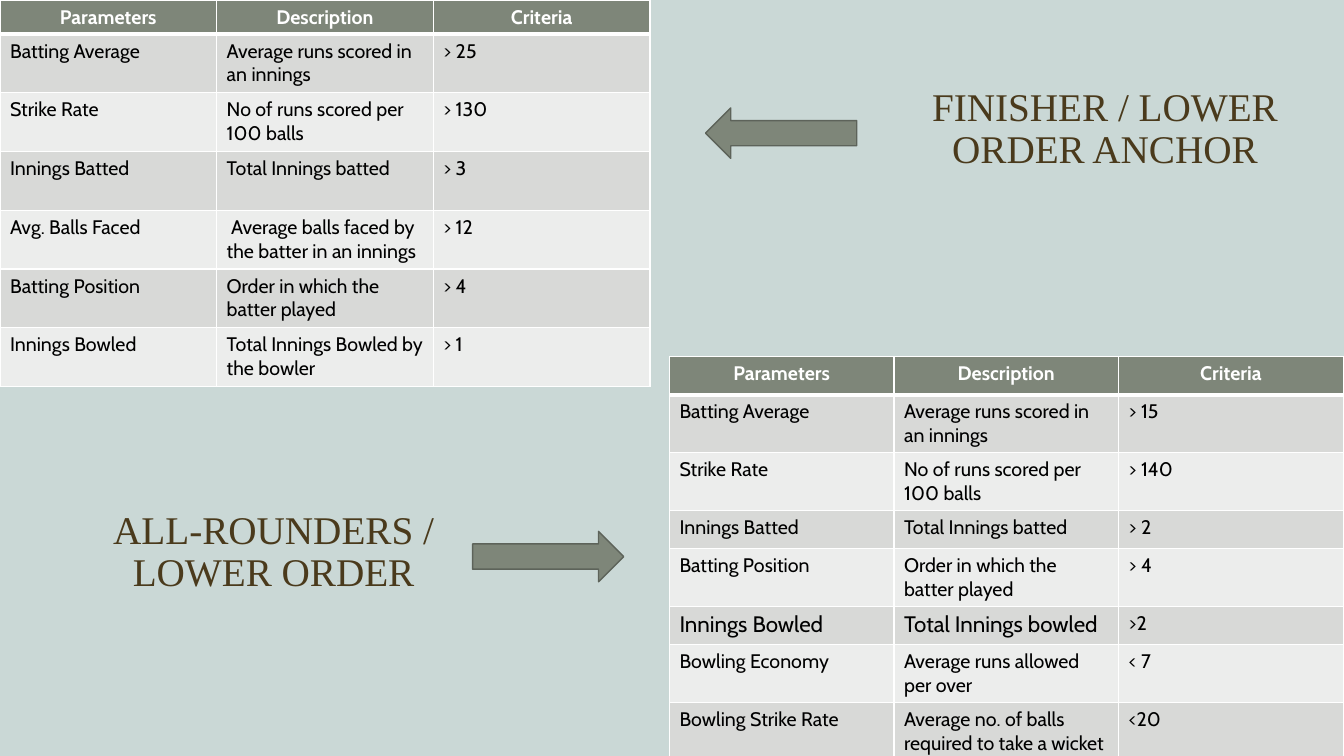
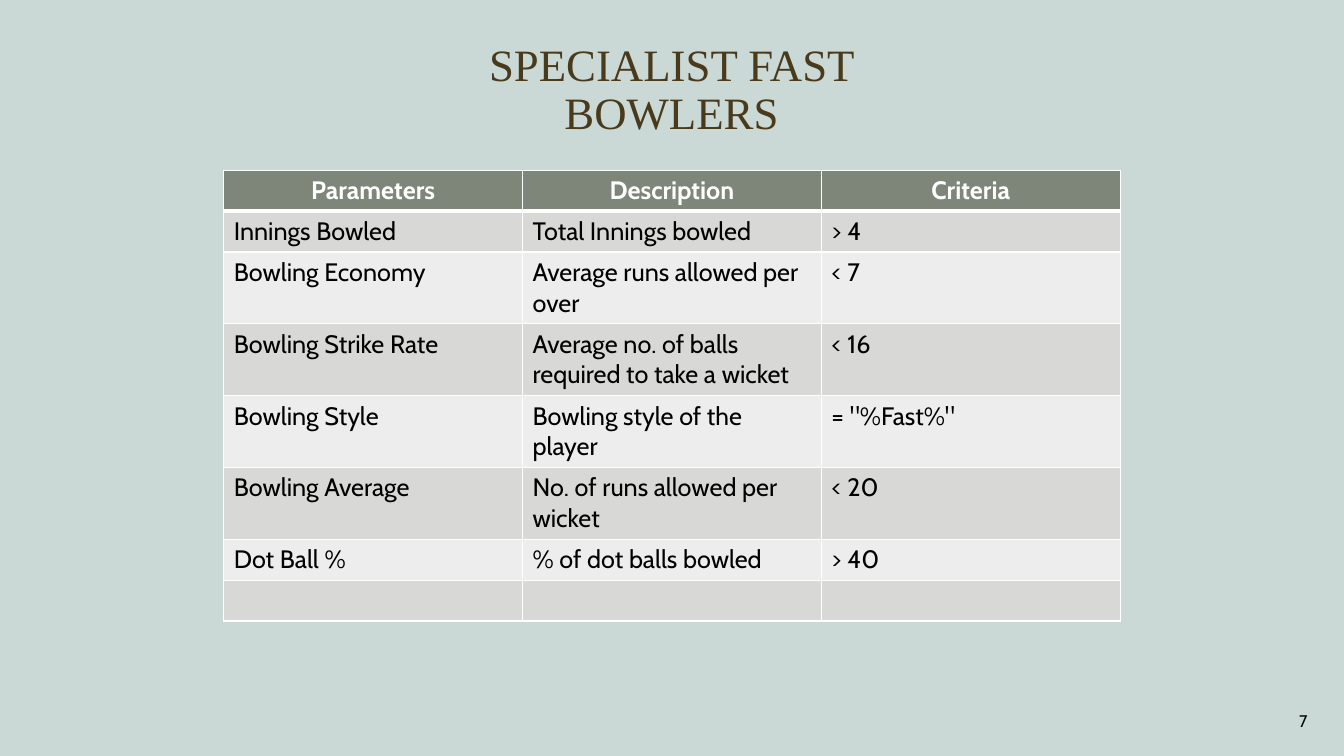
"""Build two slides of cricket player selection criteria."""
from lxml.etree import SubElement
from pptx import Presentation
from pptx.dml.color import RGBColor
from pptx.enum.shapes import MSO_SHAPE
from pptx.enum.text import MSO_ANCHOR, MSO_AUTO_SIZE, PP_ALIGN
from pptx.oxml.ns import qn
from pptx.util import Cm, Pt


class Theme:
    back = RGBColor.from_string("CAD8D6")
    sage = RGBColor.from_string("7E8679")
    edge = RGBColor.from_string("5D635A")
    brown = RGBColor.from_string("4A3A1C")
    white = RGBColor.from_string("FFFFFF")
    black = RGBColor.from_string("000000")
    bands = (RGBColor.from_string("ECEDEC"), RGBColor.from_string("D8D9D7"))
    head = "Times New Roman"
    body = "Cabin"
    small, cell, large, wide = 12, 14, 16, 18
    title, big = 28, 32
    thin, thick = 1, 3


def put(box, text, size=Theme.cell, face=Theme.body, color=Theme.black,
        bold=False, align=PP_ALIGN.LEFT, gap=None, anchor=MSO_ANCHOR.TOP):
    frame = box.text_frame
    frame.word_wrap = True
    frame.vertical_anchor = anchor
    para = frame.paragraphs[0]
    para.alignment = align
    para.line_spacing = gap
    run = para.add_run()
    run.text = text
    font = run.font
    font.size, font.name, font.bold = Pt(size), face, bold
    font.color.rgb = color


def grid(slide, left, top, width, highs, rows, size, large=()):
    rows = [("Parameters", "Description", "Criteria"), *rows]
    table = slide.shapes.add_table(len(rows), 3, Cm(left), Cm(top),
                                   Cm(3 * width), Cm(sum(highs))).table
    table.horz_banding = False
    for col in table.columns:
        col.width = Cm(width)
    for y, (row, high) in enumerate(zip(rows, highs)):
        table.rows[y].height = Cm(high)
        for x, text in enumerate(row):
            cell = table.cell(y, x)
            props = cell._tc.get_or_add_tcPr()
            for side in "LRTB":
                heavy = (y, side) in ((0, "B"), (1, "T"))
                line = SubElement(props, qn(f"a:ln{side}"))
                line.set("w", str(Pt(Theme.thick if heavy else Theme.thin)))
                fill = SubElement(line, qn("a:solidFill"))
                SubElement(fill, qn("a:srgbClr")).set("val", str(Theme.white))
            cell.fill.solid()
            cell.fill.fore_color.rgb = Theme.bands[y % 2] if y else Theme.sage
            if y == 0:
                put(cell, text, size=size, color=Theme.white, bold=True,
                    align=PP_ALIGN.CENTER)
            elif text:
                put(cell, text, size=Theme.large if (y, x) in large else size)


deck = Presentation()
deck.slide_width, deck.slide_height = Cm(33.87), Cm(19.05)
fill = deck.slide_master.background.fill
fill.solid()
fill.fore_color.rgb = Theme.back
plain = deck.slide_layouts.get_by_name("Title Only")
order, fast = [deck.slides.add_slide(plain) for _ in range(2)]

grid(order, 0, 0, 5.46, [0.86] + [1.48] * 6, [
    ("Batting Average", "Average runs scored in an innings", "> 25"),
    ("Strike Rate", "No of runs scored per 100 balls", "> 130"),
    ("Innings Batted", "Total Innings batted", "> 3"),
    ("Avg. Balls Faced", " Average balls faced by the batter in an innings", "> 12"),
    ("Batting Position", "Order in which the batter played", "> 4"),
    ("Innings Bowled", "Total Innings Bowled by the bowler", "> 1"),
], Theme.cell)

low, tall = 0.96, 1.45
grid(order, 16.87, 8.99, 5.66, [low, tall, tall, low, tall, low, tall, tall], [
    ("Batting Average", "Average runs scored in an innings", "> 15"),
    ("Strike Rate", "No of runs scored per 100 balls", "> 140"),
    ("Innings Batted", "Total Innings batted", "> 2"),
    ("Batting Position", "Order in which the batter played", "> 4"),
    ("Innings Bowled", "Total Innings bowled", ">2"),
    ("Bowling Economy", "Average runs allowed per over", "< 7"),
    ("Bowling Strike Rate", "Average no. of balls required to take a wicket", "<20"),
], Theme.cell, large=((5, 0), (5, 1)))

low, tall = 1.03, 1.81
grid(fast, 5.64, 4.29, 7.53, [low, low] + [tall] * 4 + [low, low], [
    ("Innings Bowled", "Total Innings bowled", "> 4"),
    ("Bowling Economy", "Average runs allowed per over", "< 7"),
    ("Bowling Strike Rate", "Average no. of balls required to take a wicket", "< 16"),
    ("Bowling Style", "Bowling style of the player", '= "%Fast%"'),
    ("Bowling Average", "No. of runs allowed per wicket", "< 20"),
    ("Dot Ball %", "% of dot balls bowled", "> 40"),
    ("", "", ""),
], Theme.wide)

extra = order.shapes.add_textbox(0, 0, 0, 0)
for box, text, left, top, size in (
    (order.shapes.title, "FINISHER / LOWER ORDER ANCHOR", 22.5, 2.08, Theme.title),
    (extra, "ALL-ROUNDERS / LOWER ORDER", 1.55, 12.73, Theme.title),
    (fast.shapes.title, "SPECIALIST FAST BOWLERS", 11.58, 0.94, Theme.big),
):
    box.left, box.top, box.width, box.height = Cm(left), Cm(top), Cm(10.69), Cm(2.57)
    box.text_frame.auto_size = MSO_AUTO_SIZE.NONE
    put(box, text, size=size, face=Theme.head, color=Theme.brown,
        align=PP_ALIGN.CENTER, gap=0.9)

for left, top, turn in ((17.78, 2.72, 180), (11.91, 13.39, 0)):
    arrow = order.shapes.add_shape(MSO_SHAPE.RIGHT_ARROW, Cm(left), Cm(top),
                                   Cm(3.81), Cm(1.27))
    arrow.rotation = turn
    arrow.shadow.inherit = False
    arrow.fill.solid()
    arrow.fill.fore_color.rgb = Theme.sage
    arrow.line.color.rgb = Theme.edge
    arrow.line.width = Pt(Theme.thin)

page = fast.shapes.add_textbox(Cm(25.58), Cm(17.65), Cm(7.62), Cm(1.02))
put(page, "7", size=Theme.small, align=PP_ALIGN.RIGHT, anchor=MSO_ANCHOR.MIDDLE)

deck.save("out.pptx")
